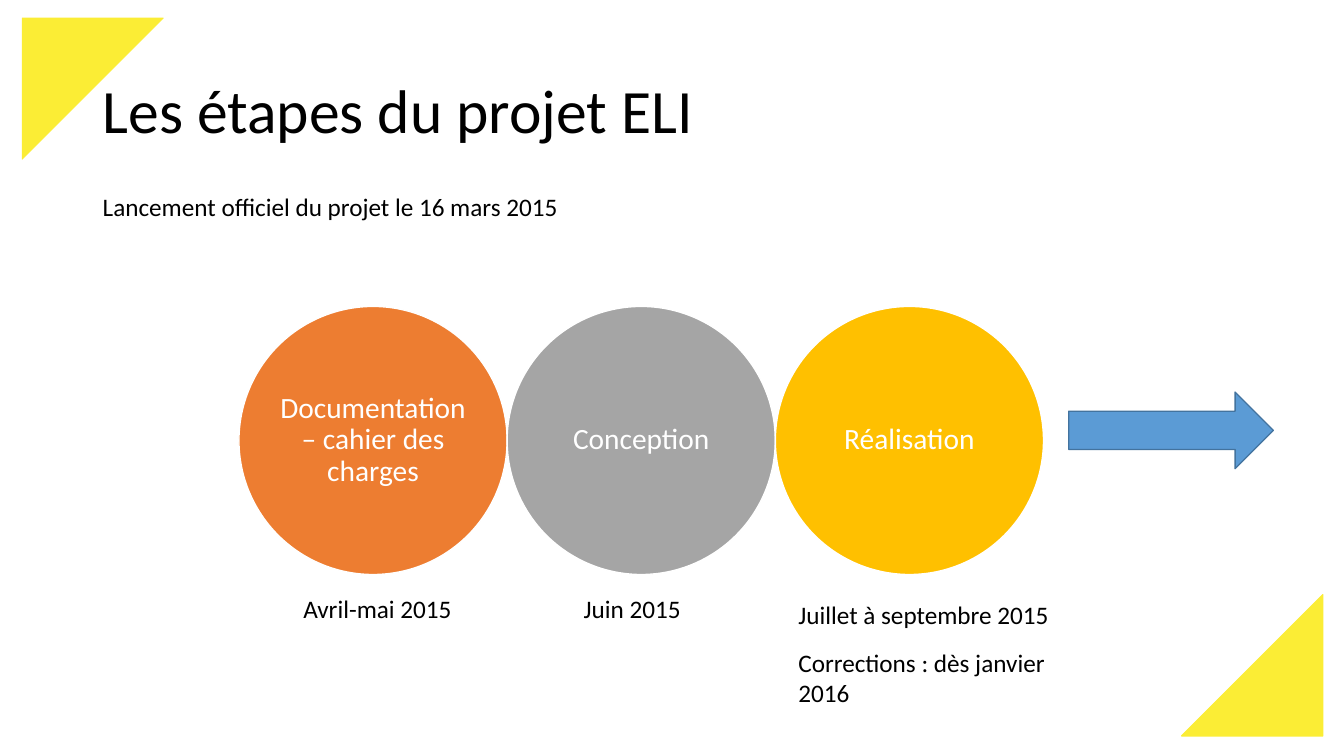
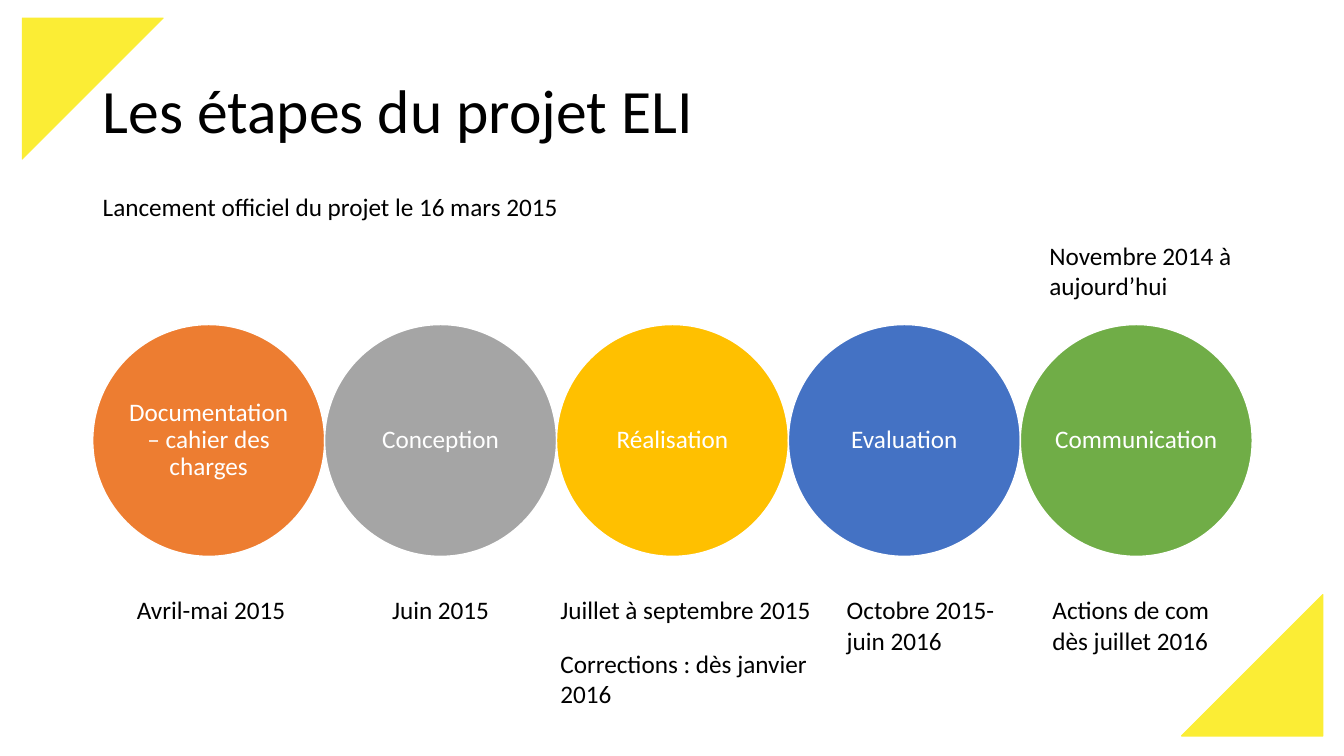
import pptx
import pptx.util
import pptx.dml.color
import pptx.enum.shapes
import pptx.enum.text
from dataclasses import dataclass

Inches = pptx.util.Inches
Pt = pptx.util.Pt
Shape = pptx.enum.shapes.MSO_SHAPE
Align = pptx.enum.text.PP_ALIGN
Anchor = pptx.enum.text.MSO_ANCHOR


@dataclass(frozen=True)
class Theme:
    font: str = "Calibri"
    head: int = 44
    body: int = 18
    black: str = "000000"
    white: str = "FFFFFF"
    corner: str = "FBED35"
    arrow: str = "5B9BD5"
    edge: str = "43739E"
    steps: tuple = ("ED7D31", "A5A5A5", "FFC000", "4472C4", "70AD47")


theme = Theme()


def add_text(slide, text, left, top, width, height, size=theme.body, wrap=True):
    box = slide.shapes.add_textbox(Inches(left), Inches(top), Inches(width), Inches(height))
    frame = box.text_frame
    frame.word_wrap = wrap
    frame.text = text
    font = frame.paragraphs[0].font
    font.name = theme.font
    font.size = Pt(size)
    font.color.rgb = pptx.dml.color.RGBColor.from_string(theme.black)
    return frame


def add_form(slide, kind, left, top, width, height, fill, line, weight=1):
    form = slide.shapes.add_shape(kind, Inches(left), Inches(top), Inches(width), Inches(height))
    form.shadow.inherit = False
    form.fill.solid()
    form.fill.fore_color.rgb = pptx.dml.color.RGBColor.from_string(fill)
    form.line.color.rgb = pptx.dml.color.RGBColor.from_string(line)
    form.line.width = Pt(weight)
    return form


names = ["Documentation – cahier des charges", "Conception", "Réalisation",
         "Evaluation", "Communication"]

# Each slide: step count, left edge, circle size, label size, arrow shown,
# then dates as (text, left, top, width, height, wrap)
pages = [
    (3, 2.37, 2.66, 21, True, [
        ("Avril-mai 2015", 2.91, 5.84, 2.04, 0.4, True),
        ("Juin 2015", 5.69, 5.84, 2.04, 0.4, True),
        ("Juillet à septembre 2015", 7.82, 5.9, 2.77, 0.4, False),
        ("Corrections : dès janvier 2016", 7.82, 6.37, 2.84, 0.71, True),
    ]),
    (5, 0.92, 2.3, 18, False, [
        ("Novembre 2014 à aujourd’hui", 10.31, 2.33, 2.84, 0.71, True),
        ("Avril-mai 2015", 1.26, 5.85, 2.04, 0.4, True),
        ("Juin 2015", 3.79, 5.85, 2.04, 0.4, True),
        ("Juillet à septembre 2015", 5.46, 5.85, 2.77, 0.4, False),
        ("Corrections : dès janvier 2016", 5.46, 6.38, 2.84, 0.71, True),
        ("Octobre 2015-juin 2016", 8.3, 5.85, 2.04, 0.71, True),
        ("Actions de com dès juillet 2016", 10.34, 5.85, 2.04, 0.71, True),
    ]),
]
middle = 4.37
corners = [(0.22, 0.18, 90, 0.5), (11.72, 5.9, 270, 1)]

deck = pptx.Presentation()
deck.slide_width = Inches(13.33)
deck.slide_height = Inches(7.5)

for count, start, side, size, arrow, dates in pages:
    slide = deck.slides.add_slide(deck.slide_layouts[6])

    title = add_text(slide, "Les étapes du projet ELI", 0.92, 0.4, 11.5, 1.45, theme.head)
    title.vertical_anchor = Anchor.MIDDLE
    title.paragraphs[0].line_spacing = 0.9
    add_text(slide, "Lancement officiel du projet le 16 mars 2015",
             0.92, 1.85, 4.78, 0.4, wrap=False)

    for step in range(count):
        disc = add_form(slide, Shape.OVAL, start + step * side, middle - side / 2,
                        side, side, theme.steps[step], theme.white)
        frame = disc.text_frame
        frame.margin_left = frame.margin_right = 0
        frame.margin_top = frame.margin_bottom = 0
        frame.vertical_anchor = Anchor.MIDDLE
        frame.word_wrap = True
        frame.text = names[step]
        label = frame.paragraphs[0]
        label.alignment = Align.CENTER
        label.line_spacing = 0.9
        label.font.name = theme.font
        label.font.size = Pt(size)
        label.font.color.rgb = pptx.dml.color.RGBColor.from_string(theme.white)

    for text, left, top, width, height, wrap in dates:
        add_text(slide, text, left, top, width, height, wrap=wrap)

    for left, top, turn, weight in corners:
        corner = add_form(slide, Shape.RIGHT_TRIANGLE, left, top, 1.4, 1.4,
                          theme.corner, theme.corner, weight)
        corner.rotation = turn

    if arrow:
        add_form(slide, Shape.RIGHT_ARROW, 10.6, 3.89, 2.03, 0.76, theme.arrow, theme.edge)

deck.save("out.pptx")
